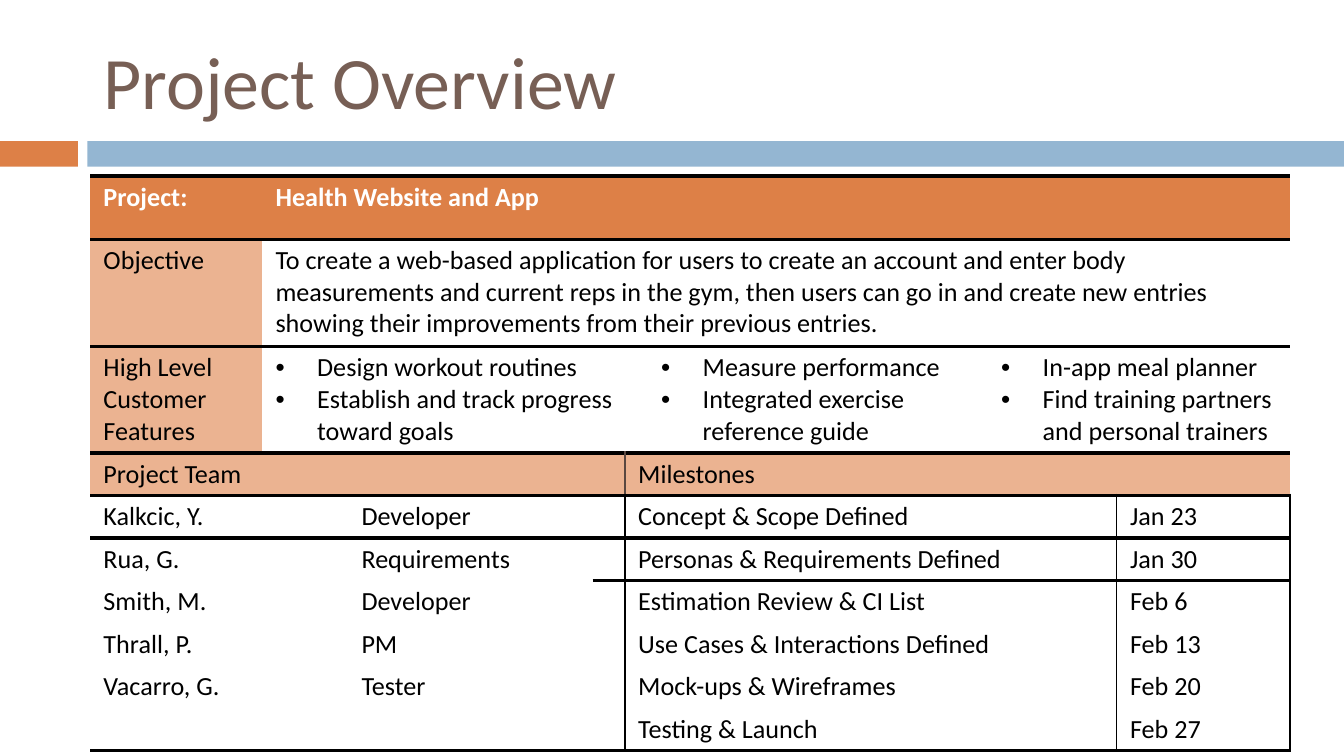
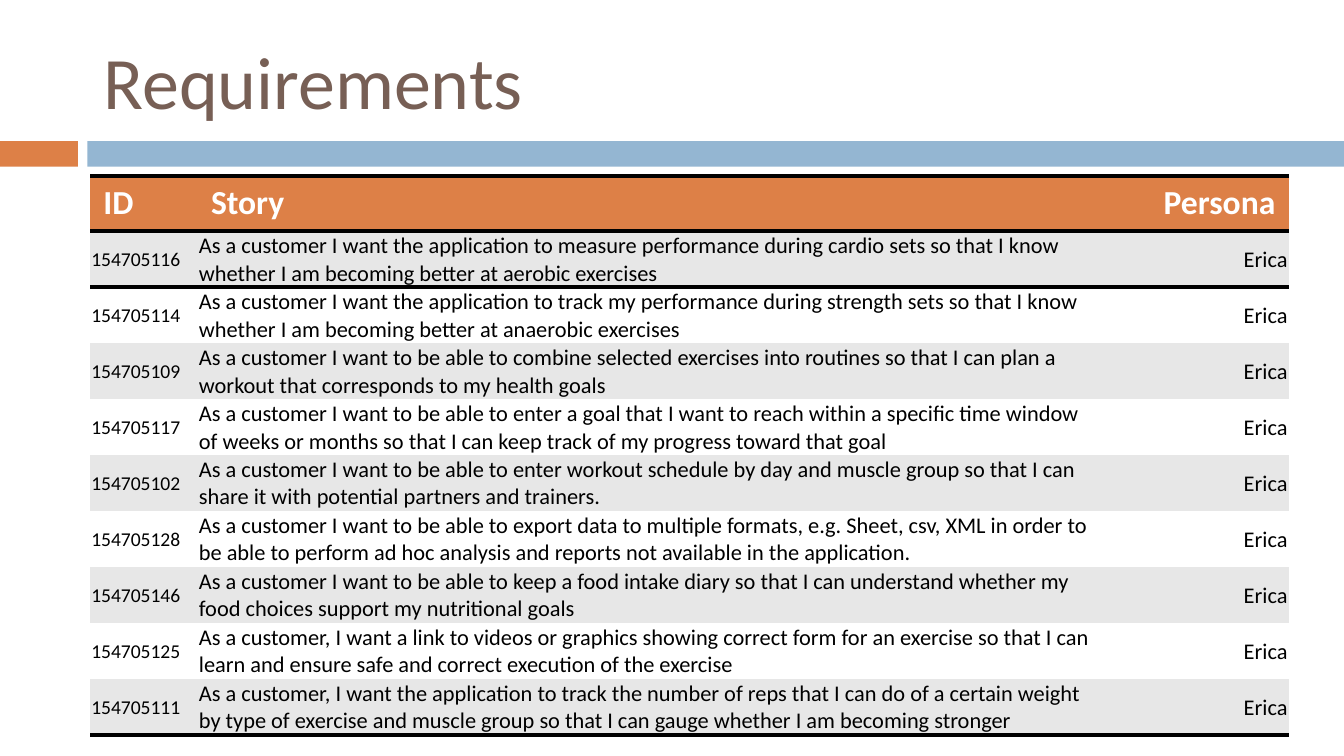
from lxml.etree import SubElement
from pptx import Presentation
from pptx.dml.color import RGBColor
from pptx.enum.shapes import MSO_SHAPE
from pptx.enum.text import MSO_ANCHOR, MSO_AUTO_SIZE, PP_ALIGN
from pptx.oxml.ns import qn
from pptx.util import Inches, Pt

# Shared look
FONT = "Calibri"
ORANGE = RGBColor(0xDD, 0x80, 0x47)
PEACH = RGBColor(0xEB, 0xB3, 0x91)
BLUE = RGBColor(0x94, 0xB6, 0xD2)
BROWN = RGBColor(0x77, 0x5F, 0x55)
DARK_BROWN = RGBColor(0x59, 0x47, 0x40)
GREY = RGBColor(0xE7, 0xE7, 0xE7)
WHITE = RGBColor(0xFF, 0xFF, 0xFF)
BLACK = RGBColor(0, 0, 0)
LEFT, TABLE_TOP, WIDTH = 0.67, 1.31, 8.92
BANDS = [(0, 0.58, ORANGE), (0.65, 9.35, BLUE)]
BORDERS = ["a:lnL", "a:lnR", "a:lnT", "a:lnB"]
NO_STYLE = "{2D5ABB26-0587-4C30-8999-92F81FD0307C}"
ROOMY = (0.1, 0.04, 0.1, 0.04)
TIGHT = (0.01, 0.01, 0.01, 0)

# Content: project overview
PROJECT = "Health Website and App"
OBJECTIVE = (
    "To create a web-based application for users to create an account and "
    "enter body measurements and current reps in the gym, then users can go "
    "in and create new entries showing their improvements from their "
    "previous entries.")
FEATURES = [
    ["Design workout routines", "Establish and track progress toward goals"],
    ["Measure performance", "Integrated exercise reference guide"],
    ["In-app meal planner", "Find training partners and personal trainers"],
]
TEAM = [
    ("Kalkcic, Y.", "Developer"),
    ("Rua, G.", "Requirements"),
    ("Smith, M.", "Developer"),
    ("Thrall, P.", "PM"),
    ("Vacarro, G.", "Tester"),
    ("", ""),
]
MILESTONES = [
    ("Concept & Scope Defined", "Jan 23"),
    ("Personas & Requirements Defined", "Jan 30"),
    ("Estimation Review & CI List", "Feb 6"),
    ("Use Cases & Interactions Defined", "Feb 13"),
    ("Mock-ups & Wireframes", "Feb 20"),
    ("Testing & Launch", "Feb 27"),
]
OVERVIEW_COLUMNS = [1.28, 0.64, 1.82, 0.23, 0.17, 2.53, 0.96, 1.29]
OVERVIEW_ROWS = [0.47, 0.8, 0.75] + [0.3] * 7

# Content: requirements
HEADINGS = ["ID", "Story", "Persona"]
PERSONA = "Erica"
STORIES = [
    ("154705116", "As a customer I want the application to measure performance "
     "during cardio sets so that I know whether I am becoming better at "
     "aerobic exercises"),
    ("154705114", "As a customer I want the application to track my performance "
     "during strength sets so that I know whether I am becoming better at "
     "anaerobic exercises"),
    ("154705109", "As a customer I want to be able to combine selected exercises "
     "into routines so that I can plan a workout that corresponds to my "
     "health goals"),
    ("154705117", "As a customer I want to be able to enter a goal that I want "
     "to reach within a specific time window of weeks or months so that I can "
     "keep track of my progress toward that goal"),
    ("154705102", "As a customer I want to be able to enter workout schedule by "
     "day and muscle group so that I can share it with potential partners and "
     "trainers."),
    ("154705128", "As a customer I want to be able to export data to multiple "
     "formats, e.g. Sheet, csv, XML in order to be able to perform ad hoc "
     "analysis and reports not available in the application."),
    ("154705146", "As a customer I want to be able to keep a food intake diary "
     "so that I can understand whether my food choices support my "
     "nutritional goals"),
    ("154705125", "As a customer, I want a link to videos or graphics showing "
     "correct form for an exercise so that I can learn and ensure safe and "
     "correct execution of the exercise"),
    ("154705111", "As a customer, I want the application to track the number of "
     "reps that I can do of a certain weight by type of exercise and muscle "
     "group so that I can gauge whether I am becoming stronger"),
]
STORY_COLUMNS = [0.8, 6.68, 1.44]


def write(frame, text, size=14, color=BLACK, bold=False, align=PP_ALIGN.LEFT,
          bullets=False):
    """Fill a text frame with one string, or with a list of paragraphs."""
    lines = [text] if isinstance(text, str) else text
    for number, line in enumerate(lines):
        paragraph = frame.add_paragraph() if number else frame.paragraphs[0]
        paragraph.alignment = align
        if bullets:
            properties = paragraph._p.get_or_add_pPr()
            properties.set("marL", str(Inches(0.31)))
            properties.set("indent", str(-Inches(0.31)))
            SubElement(properties, qn("a:buFont"), typeface="Arial")
            SubElement(properties, qn("a:buChar"), char="•")
        if not line:
            SubElement(paragraph._p, qn("a:endParaRPr"), sz=str(size * 100))
            continue
        run = paragraph.add_run()
        run.text = line
        run.font.name, run.font.size, run.font.bold = FONT, Pt(size), bold
        run.font.color.rgb = color


def add_slide(title):
    """Start a slide with the title and the two bands."""
    slide = deck.slides.add_slide(deck.slide_layouts[5])
    for left, width, color in BANDS:
        band = slide.shapes.add_shape(
            MSO_SHAPE.RECTANGLE, Inches(left), Inches(1.05),
            Inches(width), Inches(0.19))
        band.shadow.inherit = False
        band.fill.solid()
        band.fill.fore_color.rgb = color
        band.line.fill.background()
    heading = slide.shapes.title
    heading.left, heading.top = Inches(LEFT), Inches(0.19)
    heading.width, heading.height = Inches(WIDTH), Inches(0.81)
    frame = heading.text_frame
    frame.auto_size = MSO_AUTO_SIZE.NONE
    frame.vertical_anchor = MSO_ANCHOR.MIDDLE
    write(frame, title, size=39.6, color=BROWN)
    return slide


def add_grid(slide, columns, rows):
    """Add an unstyled table with the given column widths and row heights."""
    table = slide.shapes.add_table(
        len(rows), len(columns), Inches(LEFT), Inches(TABLE_TOP),
        Inches(WIDTH), Inches(sum(rows))).table
    table._tbl.tblPr.find(qn("a:tableStyleId")).text = NO_STYLE
    table.horz_banding = False
    for column, width in zip(table.columns, columns):
        column.width = Inches(width)
    for row, height in zip(table.rows, rows):
        row.height = Inches(height)
    return table


def fill_cell(table, row, column, text, span=1, fill=WHITE, insets=ROOMY,
              anchor=MSO_ANCHOR.TOP, **style):
    cell = table.cell(row, column)
    if span > 1:
        cell.merge(table.cell(row, column + span - 1))
    (cell.margin_left, cell.margin_top,
     cell.margin_right, cell.margin_bottom) = map(Inches, insets)
    cell.vertical_anchor = anchor
    if fill is None:
        cell.fill.background()
    else:
        cell.fill.solid()
        cell.fill.fore_color.rgb = fill
    write(cell.text_frame, text, **style)


def add_border(cell, side, weight, color):
    properties = cell._tc.get_or_add_tcPr()
    line = SubElement(properties, qn(side), w=str(Pt(weight)))
    solid = SubElement(line, qn("a:solidFill"))
    SubElement(solid, qn("a:srgbClr"), val=str(color))
    # Borders come before the fill, in a fixed order
    order = [qn(name) for name in BORDERS]
    properties[:] = sorted(properties, key=lambda part: order.index(part.tag)
                           if part.tag in order else len(order))


def rule_across(table, edge, weight, first=0):
    """Draw a horizontal rule on the edge above row number edge."""
    for column in range(first, len(table.columns)):
        if edge > 0:
            add_border(table.cell(edge - 1, column), "a:lnB", weight, BLACK)
        if edge < len(table.rows):
            add_border(table.cell(edge, column), "a:lnT", weight, BLACK)


def rule_down(table, column, rows, color=BLACK):
    """Draw a thin vertical rule on the left edge of a column."""
    for row in rows:
        add_border(table.cell(row, column - 1), "a:lnR", 1, color)
        add_border(table.cell(row, column), "a:lnL", 1, color)


deck = Presentation()
deck.slide_width, deck.slide_height = Inches(10), Inches(5.625)

# Project overview
overview = add_grid(add_slide("Project Overview"),
                    OVERVIEW_COLUMNS, OVERVIEW_ROWS)
header = dict(fill=ORANGE, color=WHITE, bold=True)
fill_cell(overview, 0, 0, "Project:", **header)
fill_cell(overview, 0, 1, PROJECT, span=7, **header)
fill_cell(overview, 1, 0, "Objective", fill=PEACH)
fill_cell(overview, 1, 1, OBJECTIVE, span=7)
fill_cell(overview, 2, 0, "High Level Customer Features", fill=PEACH)
for (column, span), features in zip([(1, 4), (5, 1), (6, 2)], FEATURES):
    fill_cell(overview, 2, column, features, span=span, bullets=True)
fill_cell(overview, 3, 0, "Project Team", span=4, fill=PEACH)
fill_cell(overview, 3, 4, "Milestones", span=4, fill=PEACH)
for row, ((member, role), (milestone, date)) in enumerate(
        zip(TEAM, MILESTONES), start=4):
    fill_cell(overview, row, 0, member, span=2, fill=None)
    fill_cell(overview, row, 2, role)
    fill_cell(overview, row, 3, "")
    fill_cell(overview, row, 4, milestone, span=3)
    fill_cell(overview, row, 7, date)
for edge, weight in [(0, 2), (1, 2), (2, 2.25), (3, 2.25), (4, 2.25),
                     (len(OVERVIEW_ROWS), 2.25)]:
    rule_across(overview, edge, weight)
rule_across(overview, 5, 2.25, first=3)
rule_down(overview, 4, [3], DARK_BROWN)
for column in (4, 7):
    rule_down(overview, column, range(4, len(OVERVIEW_ROWS)))

# Requirements
row_count = len(STORIES) + 1
requirements = add_grid(add_slide("Requirements"),
                        STORY_COLUMNS, [0.41] * row_count)
aligns = [PP_ALIGN.LEFT, PP_ALIGN.LEFT, PP_ALIGN.RIGHT]
for column, heading in enumerate(HEADINGS):
    fill_cell(requirements, 0, column, heading, insets=(0.1, 0.05, 0.1, 0.05),
              size=18, align=aligns[column], **header)
for row, story in enumerate(STORIES, start=1):
    for column, text in enumerate((*story, PERSONA)):
        fill_cell(requirements, row, column, text, insets=TIGHT,
                  fill=GREY if row % 2 else WHITE, anchor=MSO_ANCHOR.MIDDLE,
                  size=12 if column else 10.5, align=aligns[column])
for edge in (0, 1, row_count):
    rule_across(requirements, edge, 2)

deck.save("out.pptx")
